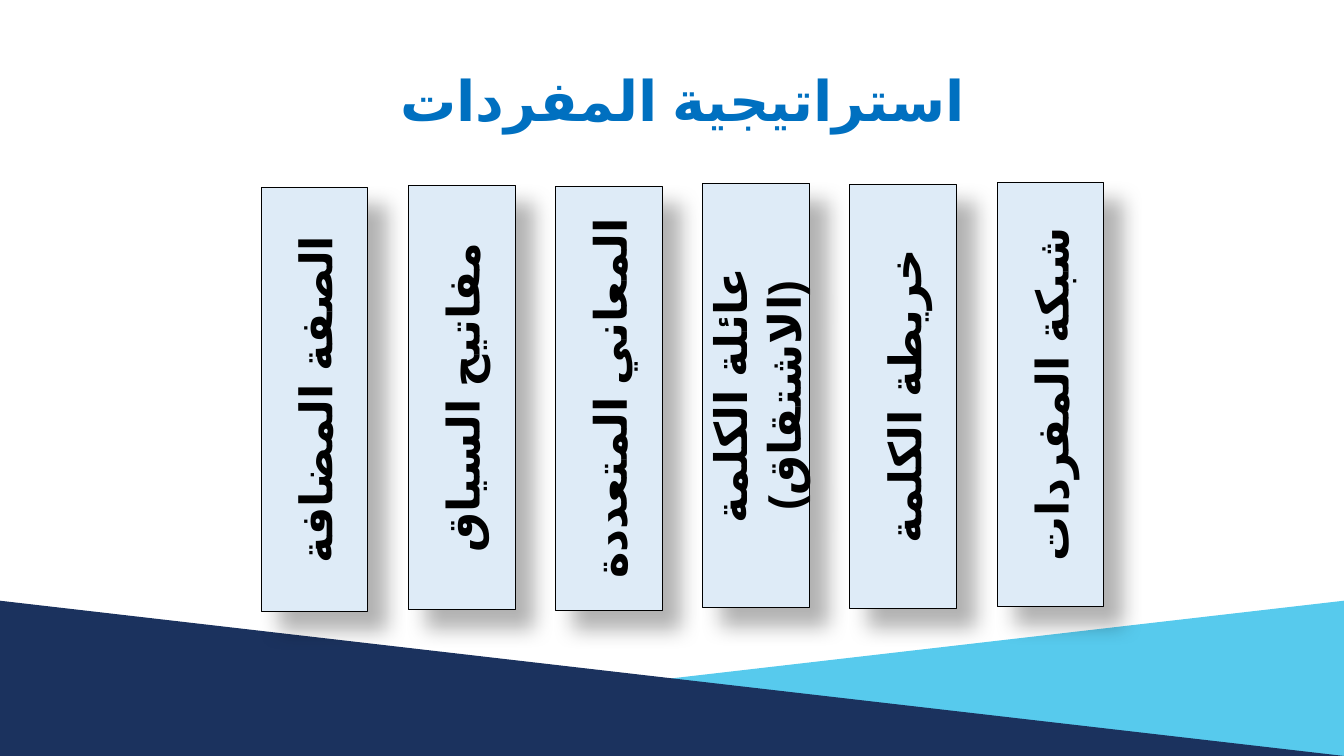
from dataclasses import dataclass

from lxml.etree import SubElement
from pptx import Presentation
from pptx.dml.color import RGBColor
from pptx.enum.lang import MSO_LANGUAGE_ID
from pptx.enum.shapes import MSO_SHAPE
from pptx.enum.text import MSO_ANCHOR, MSO_AUTO_SIZE, PP_ALIGN
from pptx.oxml import parse_xml
from pptx.oxml.ns import nsdecls, qn
from pptx.shapes.autoshape import Shape
from pptx.slide import Slide
from pptx.text.text import TextFrame
from pptx.util import Inches, Pt


@dataclass(frozen=True)
class Theme:
    font: str = "Arial"
    title_size: int = 40
    bar_size: int = 32
    title: str = "0070C0"
    ink: str = "000000"
    bar: str = "DEEBF7"
    navy: str = "1B325E"
    sky: str = "57CAED"


@dataclass(frozen=True)
class Strategy:
    label: str
    top: float


THEME = Theme()
SLIDE_WIDTH, SLIDE_HEIGHT = 13.33, 7.5
WEDGE_HEIGHT = 1.54
BAR_RIGHTMOST, BAR_STEP = 9.89, 1.46
BAR_WIDTH, BAR_HEIGHT = 1.06, 4.21

# Read from right to left
STRATEGIES = [
    Strategy("شبكة المفردات", 1.81),
    Strategy("خريطة الكلمة", 1.83),
    Strategy("عائلة الكلمة (الاشتقاق)", 1.82),
    Strategy("المعاني المتعددة", 1.85),
    Strategy("مفاتيح السياق", 1.84),
    Strategy("الصفة المضافة", 1.86),
]


def write_arabic(frame: TextFrame, text: str, size: int, color: str) -> None:
    frame.text = text
    frame.word_wrap = True
    frame.auto_size = MSO_AUTO_SIZE.SHAPE_TO_FIT_TEXT
    frame.vertical_anchor = MSO_ANCHOR.MIDDLE
    paragraph = frame.paragraphs[0]
    paragraph.alignment = PP_ALIGN.CENTER
    font = paragraph.font
    font.size = Pt(size)
    font.bold = True
    font.color.rgb = RGBColor.from_string(color)
    font.name = THEME.font
    # Language, right-to-left direction and the font for Arabic script
    paragraph.runs[0].font.language_id = MSO_LANGUAGE_ID.ARABIC
    properties = paragraph._p.get_or_add_pPr()
    properties.set("rtl", "1")
    SubElement(properties.find(qn("a:defRPr")), qn("a:cs"), typeface=THEME.font)


def add_filled(slide: Slide, kind: MSO_SHAPE, left: float, top: float,
               width: float, height: float, color: str) -> Shape:
    shape = slide.shapes.add_shape(
        kind, Inches(left), Inches(top), Inches(width), Inches(height))
    shape.shadow.inherit = False
    shape.fill.solid()
    shape.fill.fore_color.rgb = RGBColor.from_string(color)
    shape.line.fill.background()
    return shape


def add_wedge(slide: Slide, color: str, flipped: bool) -> None:
    wedge = add_filled(slide, MSO_SHAPE.RIGHT_TRIANGLE, 0,
                       SLIDE_HEIGHT - WEDGE_HEIGHT, SLIDE_WIDTH, WEDGE_HEIGHT, color)
    if flipped:
        wedge._element.spPr.find(qn("a:xfrm")).set("flipH", "1")


def add_drop_shadow(shape: Shape) -> None:
    effects = shape._element.spPr.find(qn("a:effectLst"))
    effects.append(parse_xml(
        f'<a:outerShdw {nsdecls("a")} blurRad="{Pt(15)}" dist="{Pt(18)}" '
        f'dir="2700000" algn="tl" rotWithShape="0"><a:srgbClr val="{THEME.ink}">'
        '<a:alpha val="30000"/></a:srgbClr></a:outerShdw>'))


def add_bar(slide: Slide, strategy: Strategy, left: float) -> None:
    bar = add_filled(slide, MSO_SHAPE.RECTANGLE, left, strategy.top,
                     BAR_WIDTH, BAR_HEIGHT, THEME.bar)
    bar.line.color.rgb = RGBColor.from_string(THEME.ink)
    bar.line.width = Pt(0.75)
    add_drop_shadow(bar)
    write_arabic(bar.text_frame, strategy.label, THEME.bar_size, THEME.ink)
    bar.text_frame._txBody.bodyPr.set("vert", "vert270")


def add_title(slide: Slide, text: str) -> None:
    title = slide.shapes.title
    title.left, title.top = Inches(3.12), Inches(0.35)
    title.width, title.height = Inches(7.48), Inches(0.93)
    frame = title.text_frame
    write_arabic(frame, text, THEME.title_size, THEME.title)
    frame.margin_left, frame.margin_right = Inches(0.06), Inches(0.24)
    frame.margin_top = frame.margin_bottom = 0
    frame.paragraphs[0].line_spacing = 1.5


def main() -> None:
    presentation = Presentation()
    presentation.slide_width = Inches(SLIDE_WIDTH)
    presentation.slide_height = Inches(SLIDE_HEIGHT)
    slide = presentation.slides.add_slide(presentation.slide_layouts[5])

    # Background wedges
    add_wedge(slide, THEME.sky, flipped=True)
    add_wedge(slide, THEME.navy, flipped=False)

    # Title and strategy bars
    add_title(slide, "استراتيجية المفردات")
    for index, strategy in enumerate(STRATEGIES):
        add_bar(slide, strategy, BAR_RIGHTMOST - index * BAR_STEP)

    presentation.save("out.pptx")


if __name__ == "__main__":
    main()
